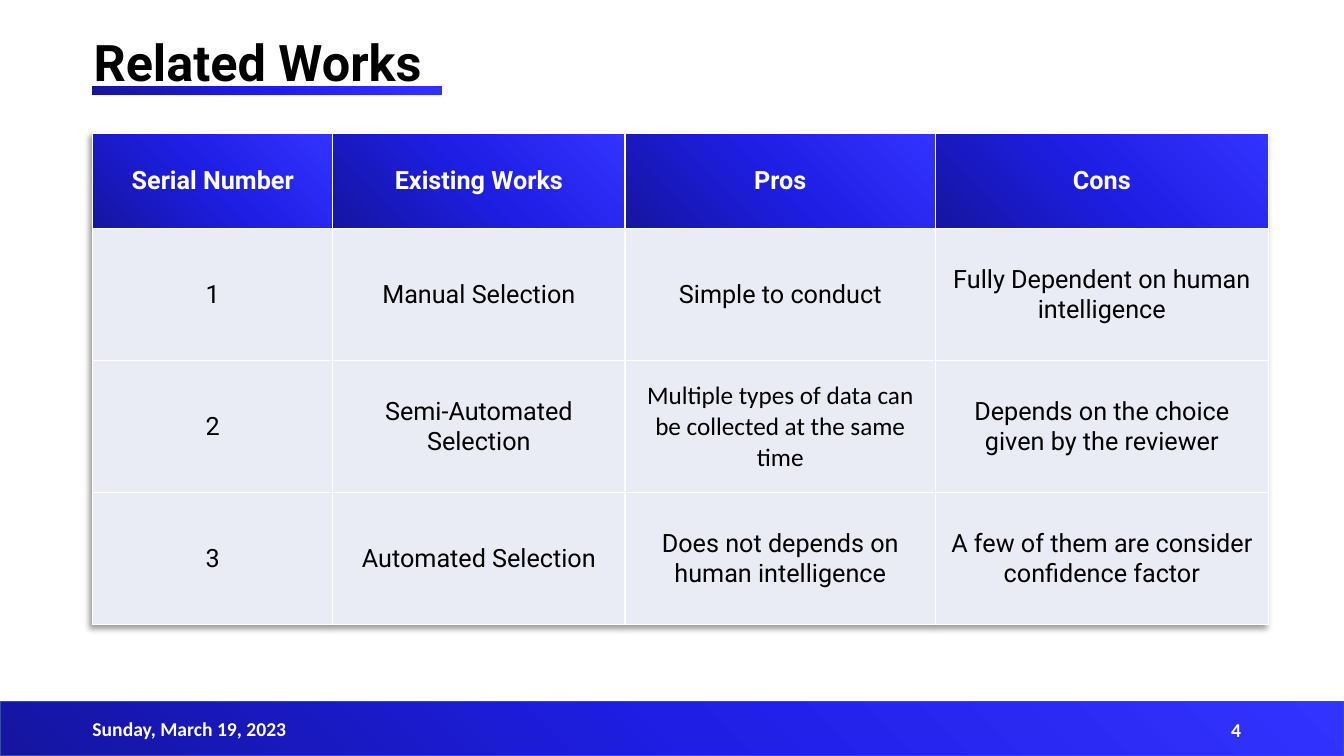
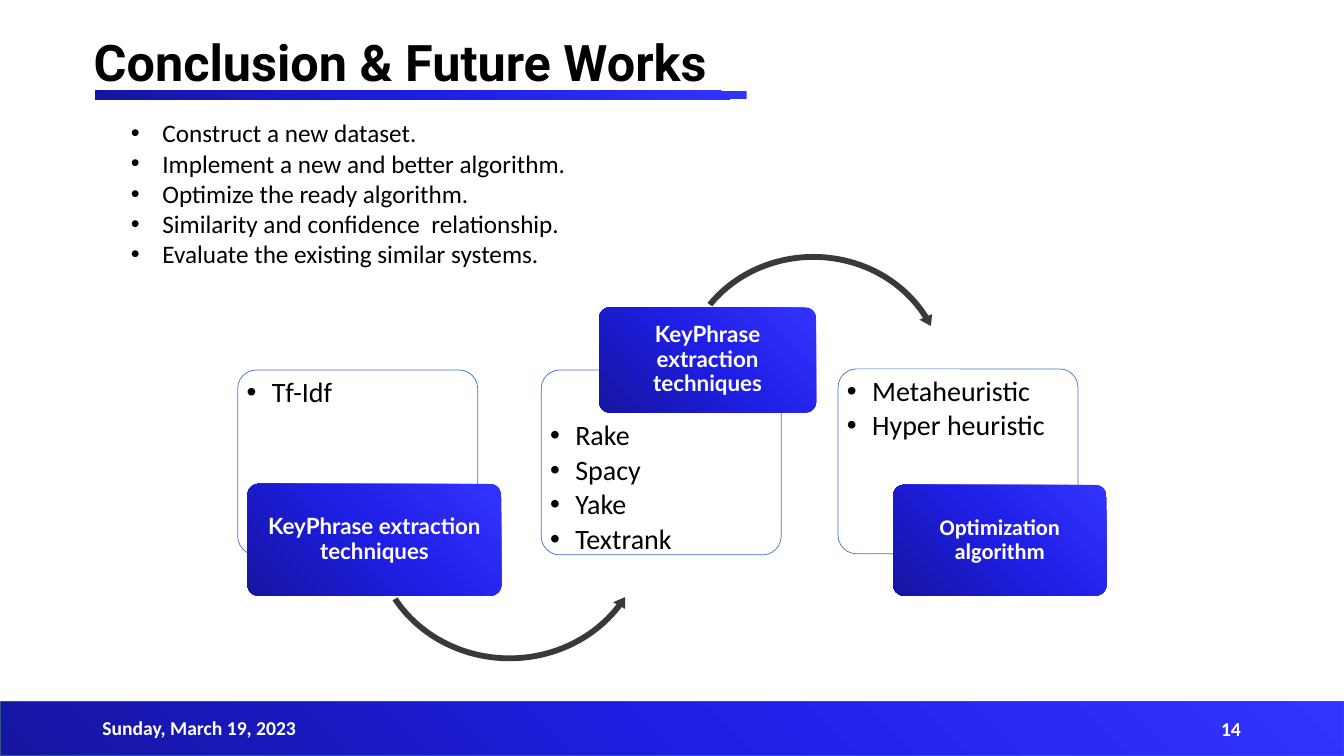
import pptx
import pptx.dml.color
import pptx.enum.shapes
import pptx.enum.text
import pptx.oxml
import pptx.oxml.ns
import pptx.util

Pt = pptx.util.Pt
SHAPE = pptx.enum.shapes.MSO_SHAPE
ALIGN = pptx.enum.text.PP_ALIGN
ANCHOR = pptx.enum.text.MSO_ANCHOR

WIDTH, HEIGHT = 960, 540
BAND_TOP = 501
BLACK, WHITE = "000000", "FFFFFF"
CELL_FILL = "E9EBF5"
BAND_LINE = "325491"
CARD_LINE = "4472C4"
ARROW_FILL = "3B3838"
GRADIENT = ((0, "1515A0"), (50, "1E1EE4"), (100, "3333FF"))
DATE = "Sunday, March 19, 2023"

TABLE_ROWS = (
    ("Serial Number", "Existing Works", "Pros", "Cons"),
    ("1", "Manual Selection", "Simple to conduct",
     "Fully Dependent on human intelligence"),
    ("2", "Semi-Automated Selection",
     "Multiple types of data can be collected at the same time",
     "Depends on the choice given by the reviewer"),
    ("3", "Automated Selection", "Does not depends on human intelligence",
     "A few of them are consider confidence factor"),
)
COLUMN_WIDTHS = (171.4, 208.8, 221.8, 237.6)
HEADER_HEIGHT, ROW_HEIGHT = 68.4, 94.3
CALIBRI_CELL = (2, 2)

FUTURE_WORKS = (
    "Construct a new dataset.",
    "Implement a new and better algorithm.",
    "Optimize the ready algorithm.",
    "Similarity and confidence  relationship.",
    "Evaluate the existing similar systems.",
)


def color(value):
    return pptx.dml.color.RGBColor.from_string(value)


def xml(text):
    """Make an element from text whose outer tag holds {ns}."""
    return pptx.oxml.parse_xml(text.format(ns=pptx.oxml.ns.nsdecls("a")))


def gradient_fill():
    """Gradient that spreads from the bottom left corner."""
    stops = "".join(
        f'<a:gs pos="{place * 1000}"><a:srgbClr val="{value}"/></a:gs>'
        for place, value in GRADIENT)
    return xml('<a:gradFill {ns} rotWithShape="1"><a:gsLst>' + stops +
               '</a:gsLst><a:path path="circle">'
               '<a:fillToRect t="100000" r="100000"/></a:path></a:gradFill>')


def add_bullet(paragraph, indent):
    properties = paragraph._p.get_or_add_pPr()
    properties.set("marL", str(Pt(indent)))
    properties.set("indent", str(-Pt(indent)))
    properties.append(xml('<a:buFont {ns} typeface="Arial"/>'))
    properties.append(xml('<a:buChar {ns} char="•"/>'))


def write(frame, lines, size, font="Calibri", fill=BLACK, bold=False,
          align=ALIGN.LEFT, spacing=1.0, after=0, bullet_indent=None):
    frame.word_wrap = True
    for index, line in enumerate(lines):
        paragraph = frame.add_paragraph() if index else frame.paragraphs[0]
        paragraph.text = line
        paragraph.alignment = align
        paragraph.line_spacing = spacing
        paragraph.space_after = Pt(after)
        paragraph.font.size = Pt(size)
        paragraph.font.name = font
        paragraph.font.bold = bold
        paragraph.font.color.rgb = color(fill)
        if bullet_indent:
            add_bullet(paragraph, bullet_indent)


def set_insets(frame, left, top, right, bottom):
    frame.margin_left, frame.margin_top = Pt(left), Pt(top)
    frame.margin_right, frame.margin_bottom = Pt(right), Pt(bottom)


def add_text(page, left, top, width, height, lines, size,
             anchor=ANCHOR.TOP, **style):
    box = page.shapes.add_textbox(Pt(left), Pt(top), Pt(width), Pt(height))
    box.text_frame.vertical_anchor = anchor
    write(box.text_frame, lines, size, **style)


def add_shape(page, kind, left, top, width, height, fill=None,
              line=None, line_width=1):
    """Add a shape; fill is a colour, "gradient" or None."""
    shape = page.shapes.add_shape(kind, Pt(left), Pt(top), Pt(width), Pt(height))
    shape.shadow.inherit = False
    if fill == "gradient":
        geometry = shape._element.spPr.find(pptx.oxml.ns.qn("a:prstGeom"))
        geometry.addnext(gradient_fill())
    elif fill:
        shape.fill.solid()
        shape.fill.fore_color.rgb = color(fill)
    else:
        shape.fill.background()
    if line:
        shape.line.color.rgb = color(line)
        shape.line.width = Pt(line_width)
    else:
        shape.line.fill.background()
    return shape


def add_page(deck, title, rule, number, footer_left, footer_top):
    """Add a page with title, rule (left, top, width) and footer band."""
    page = deck.slides.add_slide(deck.slide_layouts[6])
    add_shape(page, SHAPE.RECTANGLE, 0, BAND_TOP, WIDTH, HEIGHT - BAND_TOP,
              "gradient", BAND_LINE)
    add_text(page, 59.8, 28.8, 509, 38.9, [title], 36, ANCHOR.BOTTOM,
             font="Roboto", bold=True, spacing=0.7)
    left, top, width = rule
    add_shape(page, SHAPE.RECTANGLE, left, top, width, 6, "gradient")
    footer = dict(size=14, anchor=ANCHOR.MIDDLE, fill=WHITE, bold=True)
    add_text(page, footer_left, footer_top, 216, 28.8, [DATE], **footer)
    add_text(page, 677.5, footer_top + 0.7, 216, 28.8, [number],
             align=ALIGN.RIGHT, **footer)
    return page


def add_works_table(page):
    heights = [HEADER_HEIGHT] + [ROW_HEIGHT] * (len(TABLE_ROWS) - 1)
    table = page.shapes.add_table(
        len(TABLE_ROWS), len(COLUMN_WIDTHS), Pt(66.3), Pt(95),
        Pt(sum(COLUMN_WIDTHS)), Pt(sum(heights))).table
    for column, width in zip(table.columns, COLUMN_WIDTHS):
        column.width = Pt(width)
    for row, height in zip(table.rows, heights):
        row.height = Pt(height)
    table._tbl.tblPr.insert(0, xml(
        '<a:effectLst {ns}><a:outerShdw blurRad="50800" dist="38100" '
        'dir="8100000" algn="tr" rotWithShape="0"><a:prstClr val="black">'
        '<a:alpha val="40000"/></a:prstClr></a:outerShdw></a:effectLst>'))
    for row, texts in enumerate(TABLE_ROWS):
        header = row == 0
        for column, text in enumerate(texts):
            cell = table.cell(row, column)
            cell.vertical_anchor = ANCHOR.MIDDLE
            if header:
                cell._tc.get_or_add_tcPr().append(gradient_fill())
            else:
                cell.fill.solid()
                cell.fill.fore_color.rgb = color(CELL_FILL)
            font = "Calibri" if (row, column) == CALIBRI_CELL else "Roboto"
            write(cell.text_frame, [text], 18, font, WHITE if header else BLACK,
                  header, ALIGN.CENTER)


def add_card(page, left, top, items, text_offset=0):
    card = add_shape(page, SHAPE.ROUNDED_RECTANGLE, left, top, 171.4, 132,
                     line=CARD_LINE, line_width=0.5)
    card.adjustments[0] = 0.1
    card.text_frame.vertical_anchor = ANCHOR.TOP
    set_insets(card.text_frame, 2.5, 2 + text_offset, 2.5, 2)
    write(card.text_frame, items, 20, spacing=0.9, after=3, bullet_indent=18)


def add_label(page, left, top, width, height, text, font="Lato"):
    label = add_shape(page, SHAPE.ROUNDED_RECTANGLE, left, top, width, height,
                      "gradient")
    label.adjustments[0] = 0.1
    label.text_frame.vertical_anchor = ANCHOR.MIDDLE
    set_insets(label.text_frame, 3.6, 2.4, 3.6, 2.4)
    write(label.text_frame, [text], 16, font, WHITE, True, ALIGN.CENTER, 0.9)


def add_curved_arrow(page, kind, left, top, width, height,
                     thickness, angles, head):
    """Thickness and head are percentages; angles are head, end and start."""
    arrow = add_shape(page, kind, left, top, width, height, ARROW_FILL)
    degrees = [angle * 0.6 for angle in angles]
    for index, value in enumerate([thickness / 100, *degrees, head / 100]):
        arrow.adjustments[index] = value


def add_technique_flow(page):
    techniques = "KeyPhrase extraction techniques"
    add_card(page, 169.8, 264.3, ["Tf-Idf"])
    add_curved_arrow(page, SHAPE.LEFT_CIRCULAR_ARROW, 262.8, 285.8, 202.3, 189.4,
                     2.2, (4.51, 33.63, 149.93), 2.6)
    add_label(page, 176.8, 345.6, 181.4, 80, techniques)
    add_card(page, 386.6, 264.3, ["Rake", "Spacy", "Yake", "Textrank"], 31)
    add_curved_arrow(page, SHAPE.CIRCULAR_ARROW, 483.1, 178.6, 195.8, 182.9,
                     2.3, (4.67, 331.47, 215.32), 2.7)
    add_label(page, 428, 219.6, 155, 75, techniques)
    add_card(page, 598.6, 263.5, ["Metaheuristic", "Hyper heuristic"])
    add_label(page, 637.9, 346.3, 152.6, 79.2, "Optimization algorithm", "Calibri")


def main():
    deck = pptx.Presentation()
    deck.slide_width, deck.slide_height = Pt(WIDTH), Pt(HEIGHT)
    related = add_page(deck, "Related Works", (66.3, 61.7, 249.8), "4", 59, 506.4)
    add_works_table(related)
    conclusion = add_page(deck, "Conclusion & Future Works", (68.2, 64.8, 465.1),
                          "14", 66, 505.6)
    add_technique_flow(conclusion)
    add_text(conclusion, 86.4, 80.6, 486, 116.6, FUTURE_WORKS, 18,
             bullet_indent=22.5)
    deck.save("out.pptx")


if __name__ == "__main__":
    main()
